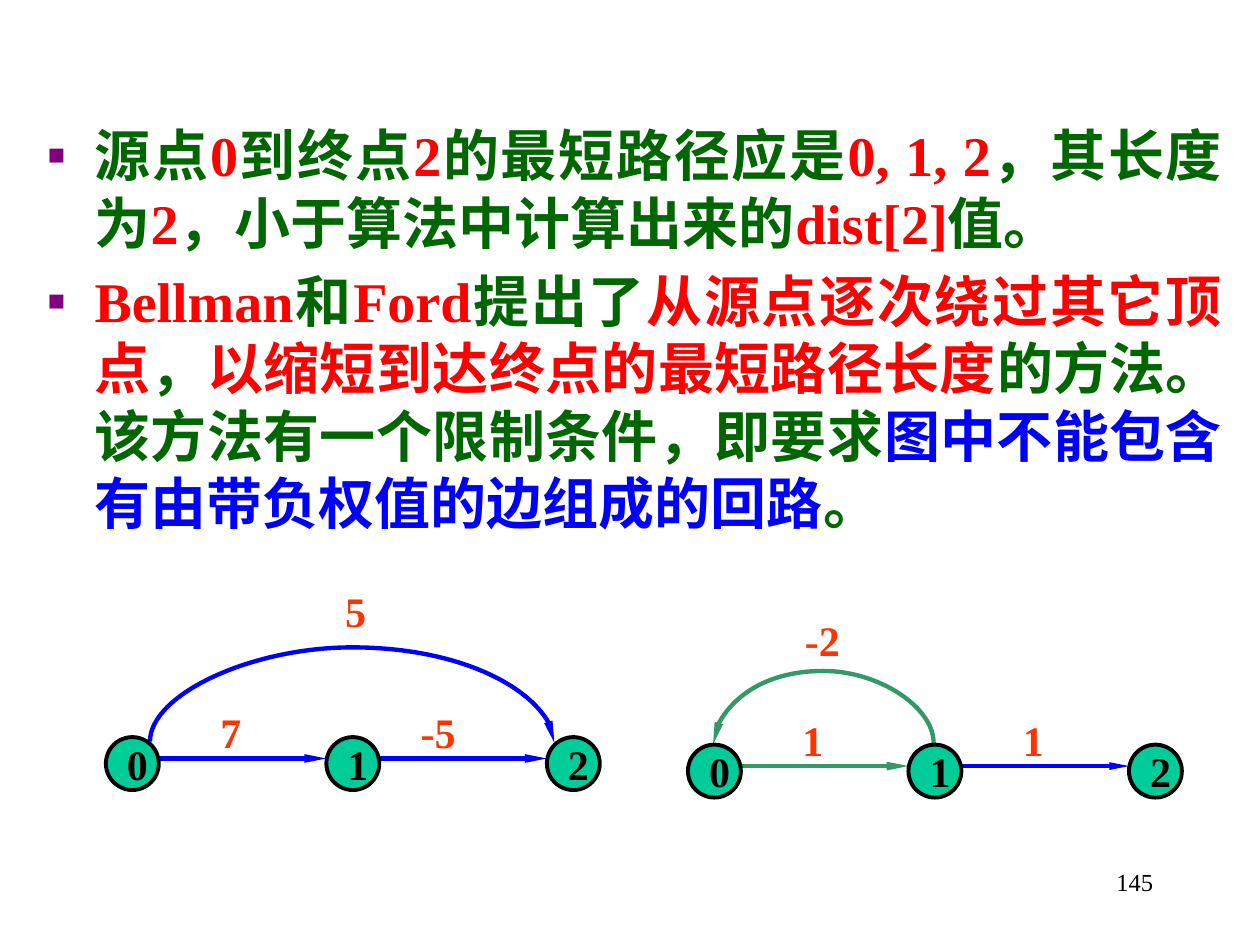
"""Build a slide on shortest paths with negative edge weights."""
from lxml import etree
from pptx import Presentation
from pptx import util as u
from pptx.dml.color import RGBColor
from pptx.enum import shapes, text
from pptx.oxml import parse_xml
from pptx.oxml.ns import nsdecls, qn

GREEN = RGBColor(0x00, 0x66, 0x00)
RED = RGBColor(0xFF, 0x00, 0x00)
BLUE = RGBColor(0x00, 0x00, 0xFF)
BLACK = RGBColor(0x00, 0x00, 0x00)
PURPLE = RGBColor(0x80, 0x00, 0x80)
TEAL = RGBColor(0x00, 0xCC, 0x99)
SEA = RGBColor(0x33, 0x99, 0x66)
ORANGE = RGBColor(0xFF, 0x33, 0x00)
FONT = "Times New Roman"
NODE_SIZE, NODE_STEP = 0.42, 1.75


def write(para, content, size, color, bold=True):
    span = para.add_run()
    span.text = content
    span.font.color.rgb = color
    for name, value in {"name": FONT, "size": u.Pt(size), "bold": bold}.items():
        setattr(span.font, name, value)


def add_arrow(kind, start, end, color, width):
    arrow = page.shapes.add_connector(kind, *map(u.Inches, start + end))
    arrow.line.color.rgb = color
    arrow.line.width = u.Pt(width)
    tail = etree.SubElement(arrow.line._get_or_add_ln(), qn("a:tailEnd"))
    for name, value in {"type": "triangle", "w": "sm", "len": "lg"}.items():
        tail.set(name, value)
    etree.SubElement(arrow._element.spPr, qn("a:effectLst"))
    return arrow


deck = Presentation()
deck.slide_width, deck.slide_height = u.Inches(10), u.Inches(7.5)
page = deck.slides.add_slide(deck.slide_layouts[1])
title = page.shapes.title._element
title.getparent().remove(title)

body = page.placeholders[1]
place = {"left": 0.27, "top": 0.91, "width": 9.53, "height": 3.53}
for name, value in place.items():
    setattr(body, name, u.Inches(value))
body.text_frame.auto_size = text.MSO_AUTO_SIZE.NONE
body.text_frame.vertical_anchor = text.MSO_ANCHOR.TOP

paragraphs = [
    [("源点", GREEN), ("0", RED), ("到终点", GREEN), ("2", RED),
     ("的最短路径应是", GREEN), ("0, 1, 2", RED), ("，其长度为", GREEN),
     ("2", RED), ("，小于算法中计算出来的", GREEN), ("dist[2]", RED),
     ("值。", GREEN)],
    [("Bellman", RED), ("和", GREEN), ("Ford", RED), ("提出了", GREEN),
     ("从源点逐次绕过其它顶点", RED), ("，", GREEN),
     ("以缩短到达终点的最短路径长度", RED),
     ("的方法。该方法有一个限制条件，即要求", GREEN),
     ("图中不能包含有由带负权值的边组成的回路", BLUE), ("。", GREEN)],
]
for index, spans in enumerate(paragraphs):
    para = body.text_frame.paragraphs[0] if index == 0 else body.text_frame.add_paragraph()
    layout = para._p.get_or_add_pPr()
    indents = {"marL": u.Inches(0.38), "indent": u.Inches(-0.38), "hangingPunct": 0}
    for name, value in indents.items():
        layout.set(name, str(int(value)))
    for bullet in (f'<a:buClr {nsdecls("a")}><a:srgbClr val="{PURPLE}"/></a:buClr>',
                   f'<a:buFont {nsdecls("a")} typeface="{FONT}"/>',
                   f'<a:buChar {nsdecls("a")} char="▪"/>'):
        layout.append(parse_xml(bullet))
    para.alignment = text.PP_ALIGN.JUSTIFY
    para.space_before = u.Pt(6.4 * index)
    for content, color in spans:
        write(para, content, 32, color)

straight_arrows = [
    ((1.25, 6.02), (2.59, 6.02), BLUE, 2.5),
    ((3, 6.02), (4.34, 6.02), BLUE, 2.5),
    ((5.87, 6.08), (7.21, 6.08), SEA, 2.5),
    ((7.62, 6.08), (8.96, 6.08), BLUE, 2.25),
]
for start, end, color, width in straight_arrows:
    add_arrow(shapes.MSO_CONNECTOR.STRAIGHT, start, end, color, width)

curved_arrows = [
    (1.19, 4.4, 5.89, 0.76, BLUE, 90, ["flipV"]),
    (5.66, 7.41, 5.9, 0.58, SEA, 270, ["flipH", "flipV"]),
]
for left, right, level, rise, color, turn, flips in curved_arrows:
    span_width, depth = right - left, 0.01
    corner = ((left + right - depth) / 2, level - span_width / 2)
    opposite = (corner[0] + depth, corner[1] + span_width)
    curve = add_arrow(shapes.MSO_CONNECTOR.CURVE, corner, opposite, color, 2.5)
    frame = curve._element.spPr.find(qn("a:xfrm"))
    frame.set("rot", str(turn * 60000))
    for flip in flips:
        frame.set(flip, "1")
    geometry = curve._element.spPr.find(qn("a:prstGeom"))
    guides = geometry.find(qn("a:avLst"))
    if guides is None:
        guides = etree.SubElement(geometry, qn("a:avLst"))
    guide = etree.SubElement(guides, qn("a:gd"))
    guide.set("name", "adj1")
    guide.set("fmla", f"val {round(-rise / depth * 100000)}")

for graph_left, graph_top in ((0.84, 5.85), (5.46, 5.91)):
    for number in range(3):
        node = page.shapes.add_shape(
            shapes.MSO_SHAPE.OVAL, u.Inches(graph_left + number * NODE_STEP),
            u.Inches(graph_top), u.Inches(NODE_SIZE), u.Inches(NODE_SIZE))
        node.shadow.inherit = False
        node.fill.solid()
        node.fill.fore_color.rgb = TEAL
        node.line.color.rgb = BLACK
        node.line.width = u.Pt(2.25)
        node.text_frame.word_wrap = False
        node.text_frame.vertical_anchor = text.MSO_ANCHOR.MIDDLE
        para = node.text_frame.paragraphs[0]
        para.alignment = text.PP_ALIGN.CENTER
        write(para, f" {number}", 24, BLACK)

weights = [
    ("5", 2.64, 4.6, 0.37), ("7", 1.65, 5.56, 0.37), ("-5", 3.24, 5.56, 0.48),
    ("1", 6.27, 5.62, 0.37), ("1", 8.02, 5.62, 0.37), ("-2", 6.29, 4.83, 0.48),
]
for weight, left, top, width in weights:
    box = page.shapes.add_textbox(*map(u.Inches, (left, top, width, 0.5)))
    box.text_frame.word_wrap = False
    write(box.text_frame.paragraphs[0], weight, 24, ORANGE)

page_number = page.shapes.add_textbox(*map(u.Inches, (7.17, 6.83, 2.08, 0.5)))
page_number.text_frame.word_wrap = True
para = page_number.text_frame.paragraphs[0]
para.alignment = text.PP_ALIGN.RIGHT
write(para, "145", 14, BLACK, bold=False)

deck.save("out.pptx")
